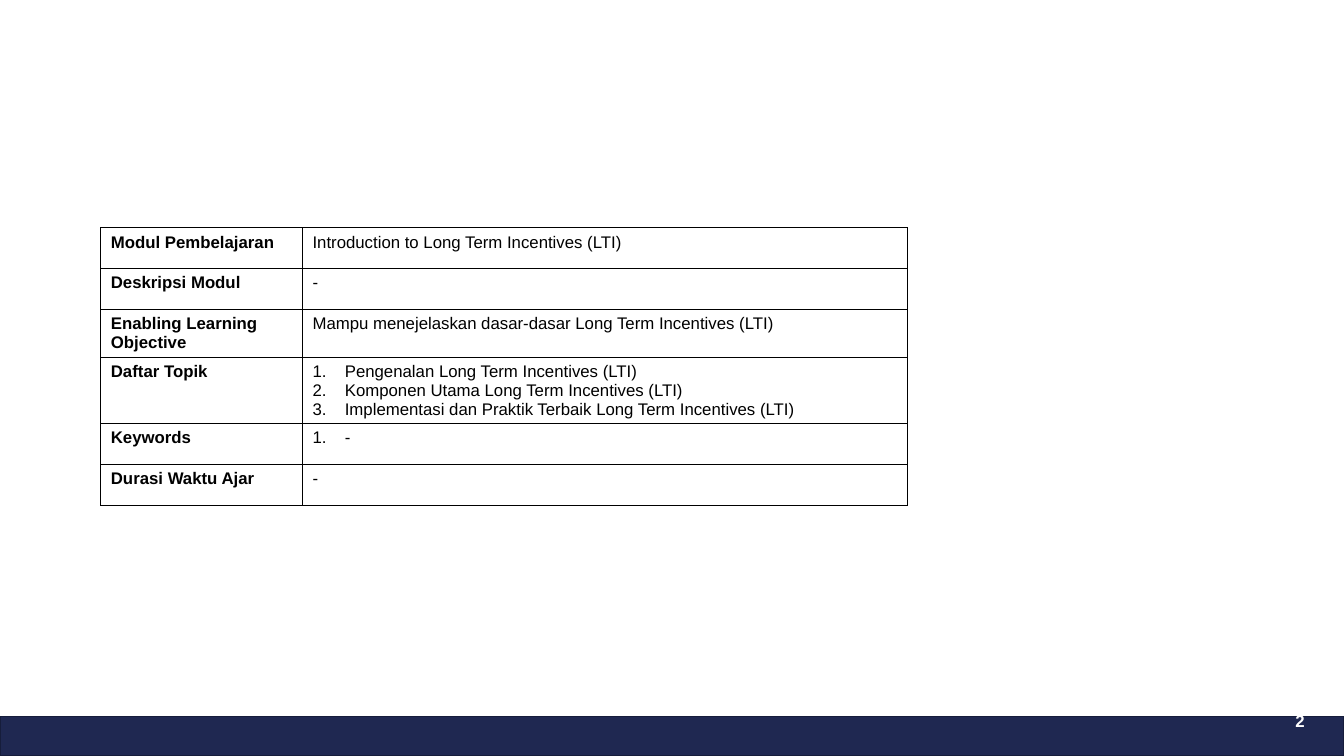
"""Build the learning module overview slide."""
from lxml import etree
from pptx import Presentation
from pptx.dml.color import RGBColor
from pptx.enum.shapes import MSO_SHAPE
from pptx.oxml.ns import qn
from pptx.util import Inches, Pt

RECT = MSO_SHAPE.RECTANGLE
COLORS = {"navy": "1F2851", "edge": "161D3B", "white": "FFFFFF", "black": "000000"}
ROWS = [
    ("Modul Pembelajaran", ["Introduction to Long Term Incentives (LTI)"], False),
    ("Deskripsi Modul", ["-"], False),
    ("Enabling Learning Objective",
     ["Mampu menejelaskan dasar-dasar Long Term Incentives (LTI)"], False),
    ("Daftar Topik",
     ["Pengenalan Long Term Incentives (LTI)",
      "Komponen Utama Long Term Incentives (LTI)",
      "Implementasi dan Praktik Terbaik Long Term Incentives (LTI)"], True),
    ("Keywords", ["-"], True),
    ("Durasi Waktu Ajar", ["-"], False),
]


def style_font(p, color, bold):
    p.font.name = "Arial"
    p.font.size = Pt(12)
    p.font.bold = bold
    p.font.color.rgb = RGBColor.from_string(COLORS[color])


def fill_cell(cell, lines, bold, numbered):
    tc_pr = cell._tc.get_or_add_tcPr()
    for side in ("lnL", "lnR", "lnT", "lnB"):
        ln = etree.SubElement(tc_pr, qn(f"a:{side}"), w=str(Pt(1)))
        solid = etree.SubElement(ln, qn("a:solidFill"))
        etree.SubElement(solid, qn("a:srgbClr"), val=COLORS["black"])
    cell.fill.solid()
    cell.fill.fore_color.rgb = RGBColor.from_string(COLORS["white"])
    tf = cell.text_frame
    tf.text = "\n".join(lines)
    for p in tf.paragraphs:
        style_font(p, "black", bold)
        if numbered:
            p_pr = p._p.get_or_add_pPr()
            p_pr.set("marL", str(Inches(0.32)))
            p_pr.set("indent", str(Inches(-0.32)))
            num = etree.Element(qn("a:buAutoNum"), type="arabicPeriod")
            p_pr.insert(0, num)


prs = Presentation()
prs.slide_width = Inches(13.33)
prs.slide_height = Inches(7.5)
slide = prs.slides.add_slide(prs.slide_layouts[6])

footer = slide.shapes.add_shape(RECT, 0, Inches(7.11), Inches(13.33), Inches(0.39))
footer.shadow.inherit = False
footer.fill.solid()
footer.fill.fore_color.rgb = RGBColor.from_string(COLORS["navy"])
footer.line.color.rgb = RGBColor.from_string(COLORS["edge"])
footer.line.width = Pt(1)

table = slide.shapes.add_table(
    len(ROWS), 2, Inches(1), Inches(2.26), Inches(8), Inches(2.43)).table
table.first_row = False
table.horz_banding = False
table.columns[0].width = Inches(2)
table.columns[1].width = Inches(6)
for i, (label, lines, numbered) in enumerate(ROWS):
    fill_cell(table.cell(i, 0), [label], True, False)
    fill_cell(table.cell(i, 1), lines, False, numbered)

number = slide.shapes.add_textbox(Inches(12.58), Inches(7.02), Inches(0.66), Inches(0.57))
tf = number.text_frame
tf.word_wrap = True
p = tf.paragraphs[0]
p.text = "2"
p.line_spacing = 0.9
p._p.get_or_add_pPr().set("marL", str(Inches(0.17)))
style_font(p, "white", True)

prs.save("out.pptx")
